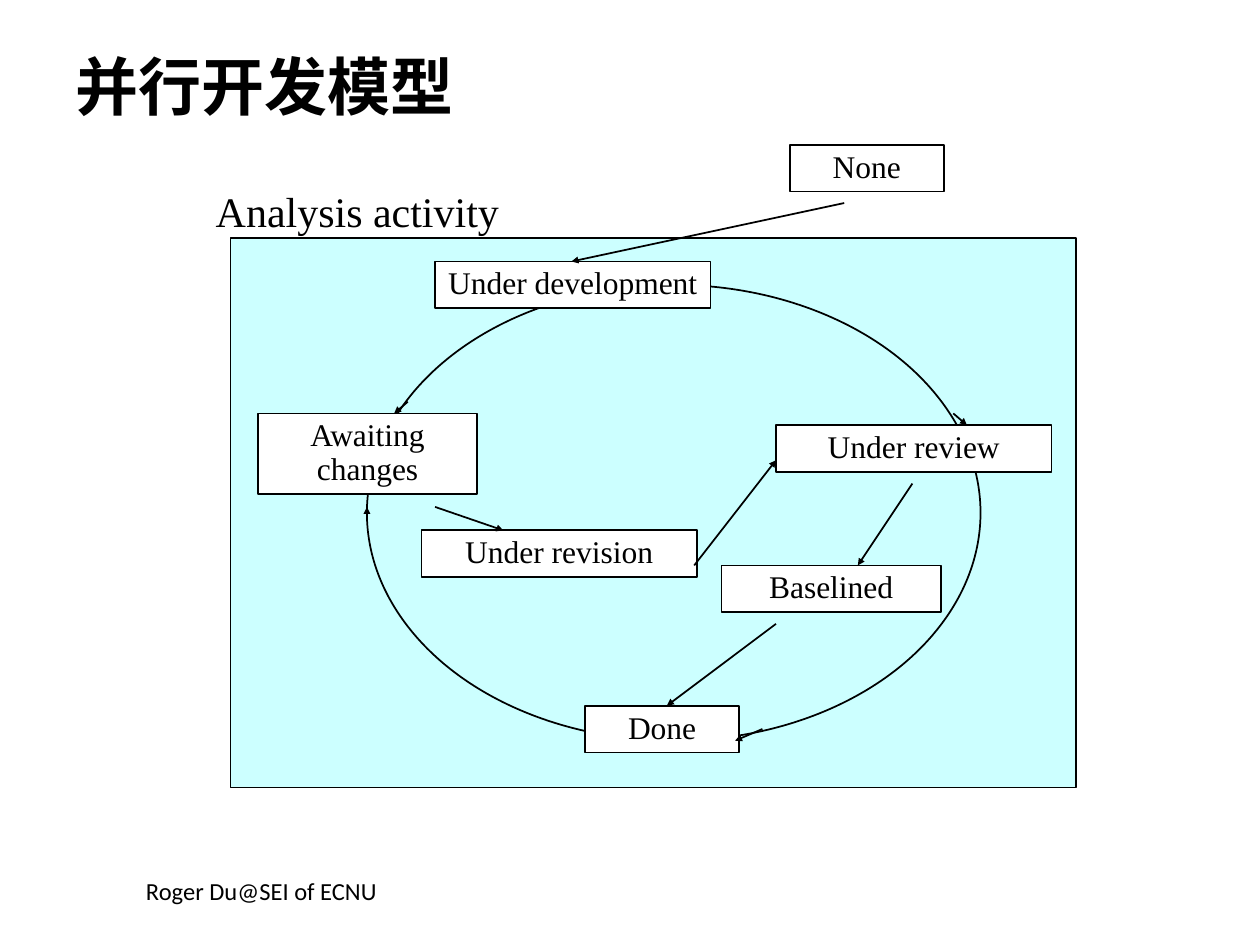
from dataclasses import dataclass

from lxml.etree import SubElement
from pptx import Presentation
from pptx.dml.color import RGBColor
from pptx.enum.shapes import MSO_CONNECTOR, MSO_SHAPE
from pptx.enum.text import MSO_ANCHOR, MSO_AUTO_SIZE, PP_ALIGN
from pptx.oxml.ns import qn
from pptx.util import Inches, Pt


@dataclass(frozen=True)
class Theme:
    ink: RGBColor = RGBColor(0, 0, 0)
    paper: RGBColor = RGBColor(255, 255, 255)
    panel: RGBColor = RGBColor(0xCC, 0xFF, 0xFF)
    sans: str = "Calibri"
    serif: str = "Times New Roman"
    title: int = 36
    heading: int = 24
    state: int = 18
    footer: int = 14
    line: int = 1


THEME = Theme()
WIDTH, HEIGHT = 10, 7.5
PANEL_LEFT, PANEL_TOP, PANEL_WIDTH, PANEL_HEIGHT = 1.83, 1.89, 6.71, 4.36
COLUMNS, ROWS = 62, 47

TITLE = "并行开发模型"
FOOTER = "Roger Du@SEI of ECNU"
ACTIVITY = "Analysis activity"
PANEL = (0, 0, COLUMNS, ROWS)
CYCLE = (10, 4, 45, 39)
SMALL, MEDIUM, LARGE = 11.3, 16.1, 20.2
STATES = [
    ("None", 41, -8, SMALL, 4),
    ("Awaiting changes", 2, 15, MEDIUM, 6.9),
    ("Under revision", 14, 25, LARGE, 4),
    ("Under review", 40, 16, LARGE, 4),
    ("Baselined", 36, 28, MEDIUM, 4),
    ("Done", 26, 40, SMALL, 4),
    ("Under development", 15, 2, LARGE, 4),
]
TRANSITIONS = [
    ((45, -3), (25, 2)),
    ((13, 14), (12, 15)),
    ((10, 24), (10, 23)),
    ((15, 23), (20, 25)),
    ((34, 28), (40, 19)),
    ((50, 21), (46, 28)),
    ((40, 33), (32, 40)),
    ((53, 15), (54, 16)),
    ((39, 42), (37, 43)),
]


def point(column, row):
    return (Inches(PANEL_LEFT + column * PANEL_WIDTH / COLUMNS),
            Inches(PANEL_TOP + row * PANEL_HEIGHT / ROWS))


def area(column, row, columns, rows):
    left, top = point(column, row)
    right, bottom = point(column + columns, row + rows)
    return left, top, right - left, bottom - top


def share(left, top, width, height):
    return (Inches(left * WIDTH), Inches(top * HEIGHT),
            Inches(width * WIDTH), Inches(height * HEIGHT))


def write(holder, words, size, face, align=PP_ALIGN.LEFT, bold=False,
          anchor=MSO_ANCHOR.TOP, grow=False, spacing=1.0):
    frame = holder.text_frame
    frame.word_wrap = True
    frame.vertical_anchor = anchor
    frame.auto_size = MSO_AUTO_SIZE.SHAPE_TO_FIT_TEXT if grow else MSO_AUTO_SIZE.NONE
    paragraph = frame.paragraphs[0]
    paragraph.alignment = align
    paragraph.line_spacing = spacing
    run = paragraph.add_run()
    run.text = words
    run.font.size = Pt(size)
    run.font.name = face
    run.font.bold = bold
    run.font.color.rgb = THEME.ink


def outlined(slide, preset, place, fill=None):
    figure = slide.shapes.add_shape(preset, *area(*place))
    figure.shadow.inherit = False
    if fill is None:
        figure.fill.background()
    else:
        figure.fill.solid()
        figure.fill.fore_color.rgb = fill
    figure.line.color.rgb = THEME.ink
    figure.line.width = Pt(THEME.line)
    return figure


def arrow(slide, start, end):
    connector = slide.shapes.add_connector(
        MSO_CONNECTOR.STRAIGHT, *point(*start), *point(*end))
    connector.line.color.rgb = THEME.ink
    connector.line.width = Pt(THEME.line)
    SubElement(connector.line._get_or_add_ln(), qn("a:tailEnd"),
               type="triangle", w="sm", len="sm")
    SubElement(connector._element.spPr, qn("a:effectLst"))


def main():
    deck = Presentation()
    deck.slide_width, deck.slide_height = Inches(WIDTH), Inches(HEIGHT)
    slide = deck.slides.add_slide(deck.slide_layouts[6])

    footer = slide.shapes.add_textbox(*share(0.05, 0.92, 0.315, 0.05))
    write(footer, FOOTER, THEME.footer, THEME.sans, PP_ALIGN.CENTER)
    title = slide.shapes.add_textbox(*share(0.05, 0.04, 0.9, 0.1))
    write(title, TITLE, THEME.title, THEME.sans, bold=True, anchor=MSO_ANCHOR.MIDDLE)

    outlined(slide, MSO_SHAPE.RECTANGLE, PANEL, THEME.panel)
    outlined(slide, MSO_SHAPE.OVAL, CYCLE)
    for name, *place in STATES:
        state = outlined(slide, MSO_SHAPE.RECTANGLE, place, THEME.paper)
        write(state, name, THEME.state, THEME.serif, PP_ALIGN.CENTER,
              grow=True, spacing=0.9)
    for start, end in TRANSITIONS:
        arrow(slide, start, end)

    activity = slide.shapes.add_textbox(*area(-2, -5, 24, 5.4))
    write(activity, ACTIVITY, THEME.heading, THEME.serif)
    deck.save("out.pptx")


if __name__ == "__main__":
    main()
